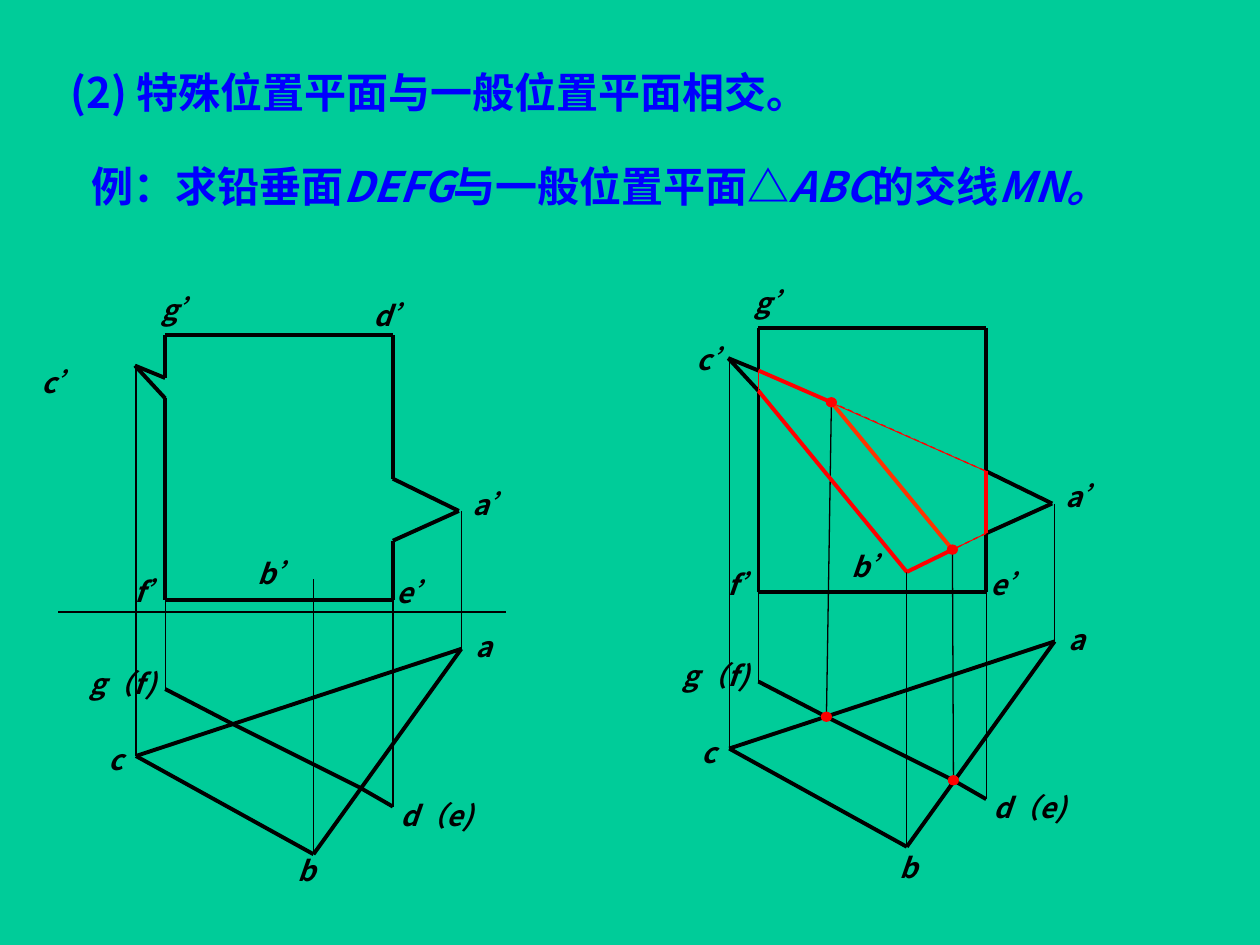
"""Build a slide on the intersection line of a vertical plane and a general plane."""
from lxml.etree import SubElement
from pptx import Presentation
from pptx.dml.color import RGBColor
from pptx.enum.dml import MSO_LINE_DASH_STYLE as Dash
from pptx.enum.shapes import MSO_CONNECTOR as Connector, MSO_SHAPE as Shape
from pptx.enum.text import MSO_AUTO_SIZE as AutoSize, PP_ALIGN as Align
from pptx.oxml.ns import qn
from pptx.util import Cm, Pt

GREEN = RGBColor(0x00, 0xCC, 0x99)
BLUE = RGBColor(0x00, 0x00, 0xFF)
BLACK = RGBColor(0x00, 0x00, 0x00)
RED = RGBColor(0xFF, 0x00, 0x00)
ORANGE = RGBColor(0xFF, 0x33, 0x00)
FONT = "Noto Sans CJK SC"
THICK, THIN, HAIR = 2.25, 0.75, 0.5

HEADINGS = [
    ((1.17, 1.22, 22.86, 1.27), [("(2) 特殊位置平面与一般位置平面相交。", False)]),
    ((1.6, 3.12, 22.66, 2.29), [
        ("例：求铅垂面", False), ("DEFG", True), ("与一般位置平面△", False),
        ("ABC", True), ("的交线", False), ("MN。", True)]),
]

POINTS = {
    "g'": (3.33, 6.76), "d'": (7.92, 6.76), "e'": (7.92, 12.09), "f'": (3.33, 12.09),
    "c'": (2.72, 7.37), "a'": (9.25, 10.3), "b'": (6.32, 11.68),
    "m'": (4.8, 8.26), "n'": (7.24, 11.23),
    "upper left": (3.33, 7.62), "lower left": (3.33, 8.03),
    "upper right": (7.92, 9.65), "lower right": (7.92, 10.9),
    "a": (9.3, 13.08), "b": (6.32, 17.22), "c": (2.74, 15.24),
    "g": (3.33, 13.89), "d": (7.92, 16.26), "m": (4.7, 14.6), "n": (7.26, 15.88),
}
OUTLINES = [
    ("upper left", "g'", "d'", "upper right", "a'", "lower right", "e'", "f'",
     "lower left", "c'", "upper left"),
    ("a", "b", "c", "a"),
    ("g", "m", "n", "d"),
]
PROJECTORS = [("f'", "g"), ("c'", "c"), ("a'", "a"), ("b'", "b"), ("e'", "d")]
AXIS = ((1.17, 12.34), (10.21, 12.34))

SOLUTION = [
    (("lower right", "b'", "lower left", "upper left", "upper right", "lower right"),
     RED, HAIR, False),
    (("m", "m'"), BLACK, THIN, False),
    (("n", "n'"), BLACK, THIN, False),
    (("m'", "n'"), ORANGE, THICK, False),
    (("lower left", "b'", "n'"), RED, THICK, False),
    (("upper left", "m'"), RED, THICK, False),
    (("m'", "upper right"), RED, THIN, True),
    (("lower right", "n'"), RED, THIN, True),
    (("upper right", "lower right"), RED, THICK, False),
    (("upper left", "lower left"), RED, THIN, True),
]
DOTS = ["m", "n", "m'", "n'"]
DOT_WIDTH, DOT_HEIGHT = 0.2, 0.18

LABEL_HEIGHT = 0.94
LABELS = {
    "a’": (9.27, 9.7, 1.6), "e’": (7.75, 11.47, 3.53), "f’": (2.46, 11.46, 1.55),
    "g（f)": (1.55, 13.31, 3.53), "g’": (3, 5.78, 3.53), "d（e)": (7.82, 15.97, 2.29),
    "b’": (4.95, 11.1, 1.6), "c": (1.93, 14.85, 1.6), "a": (9.33, 12.57, 1.6),
}
GIVEN_LABELS = {"d’": (7.29, 5.89, 3.53), "c’": (0.58, 7.24, 1.6), "b": (5.74, 17.09, 1.6)}
SOLVED_LABELS = {"c’": (1.83, 6.93, 1.6), "b": (5.92, 17.17, 1.6)}
GIVEN_ORIGIN, SOLVED_ORIGIN = (0, 0), (11.96, -0.15)


def add_text(slide, box, runs, size, color, align):
    frame = slide.shapes.add_textbox(*map(Cm, box)).text_frame
    frame.word_wrap = True
    frame.auto_size = AutoSize.SHAPE_TO_FIT_TEXT
    paragraph = frame.paragraphs[0]
    paragraph.alignment = align
    for words, italic in runs:
        run = paragraph.add_run()
        run.text = words
        run.font.size = Pt(size)
        run.font.name = FONT
        run.font.bold = True
        run.font.italic = italic
        run.font.color.rgb = color
        SubElement(run.font._element, qn("a:ea"), typeface=FONT)


def add_line(slide, origin, start, end, color=BLACK, width=THICK, dashed=False):
    ends = [Cm(base + shift) for point in (start, end) for base, shift in zip(point, origin)]
    edge = slide.shapes.add_connector(Connector.STRAIGHT, *ends)
    edge.line.color.rgb = color
    edge.line.width = Pt(width)
    if dashed:
        edge.line.dash_style = Dash.DASH
    SubElement(edge._element.spPr, qn("a:effectLst"))


def add_path(slide, origin, names, *style):
    for start, end in zip(names, names[1:]):
        add_line(slide, origin, POINTS[start], POINTS[end], *style)


def add_dot(slide, origin, name):
    x, y = (base + shift for base, shift in zip(POINTS[name], origin))
    dot = slide.shapes.add_shape(
        Shape.OVAL, Cm(x - DOT_WIDTH / 2), Cm(y - DOT_HEIGHT / 2),
        Cm(DOT_WIDTH), Cm(DOT_HEIGHT))
    dot.shadow.inherit = False
    dot.fill.solid()
    dot.fill.fore_color.rgb = RED
    dot.line.color.rgb = RED
    dot.line.width = Pt(THIN)


def add_view(slide, origin, extra_labels):
    for names in OUTLINES:
        add_path(slide, origin, names)
    for upper, lower in PROJECTORS:
        top = (POINTS[lower][0], POINTS[upper][1])
        add_line(slide, origin, top, POINTS[lower], BLACK, THIN)
    for words, (x, y, width) in {**LABELS, **extra_labels}.items():
        box = (x + origin[0], y + origin[1], width, LABEL_HEIGHT)
        add_text(slide, box, [(words, True)], 16, BLACK, Align.LEFT)


def main():
    deck = Presentation()
    deck.slide_width, deck.slide_height = Cm(25.4), Cm(19.05)
    slide = deck.slides.add_slide(deck.slide_layouts[6])
    slide.background.fill.solid()
    slide.background.fill.fore_color.rgb = GREEN

    add_view(slide, GIVEN_ORIGIN, GIVEN_LABELS)
    add_line(slide, GIVEN_ORIGIN, *AXIS, BLACK, THIN)
    add_view(slide, SOLVED_ORIGIN, SOLVED_LABELS)
    for names, *style in SOLUTION:
        add_path(slide, SOLVED_ORIGIN, names, *style)
    for name in DOTS:
        add_dot(slide, SOLVED_ORIGIN, name)
    for box, runs in HEADINGS:
        add_text(slide, box, runs, 24, BLUE, Align.JUSTIFY)
    deck.save("out.pptx")


if __name__ == "__main__":
    main()
